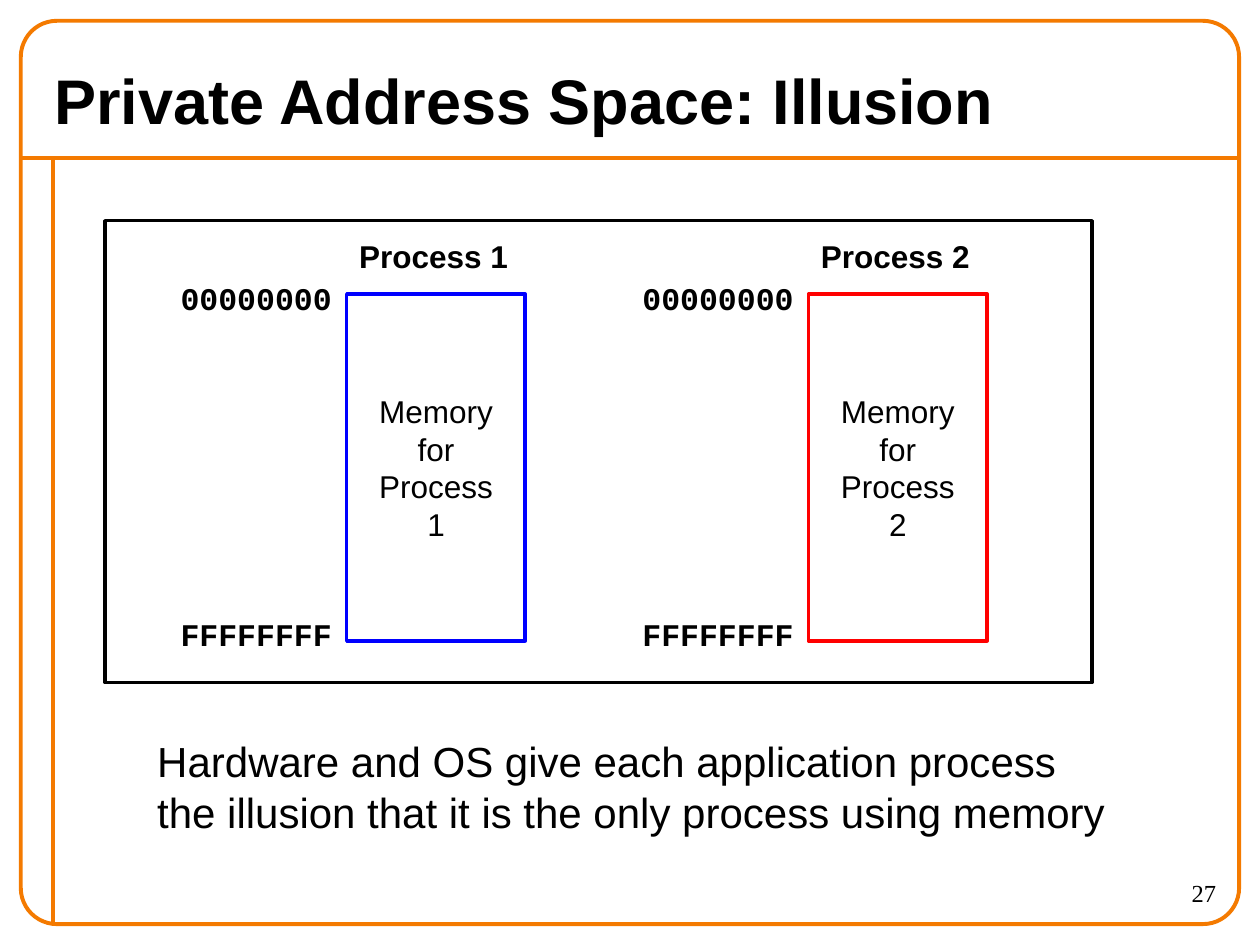
"""Build the slide on the illusion of a private address space."""
from dataclasses import dataclass

from lxml import etree
from pptx import Presentation
from pptx.dml.color import RGBColor
from pptx.enum.shapes import MSO_CONNECTOR, MSO_SHAPE
from pptx.enum.text import MSO_ANCHOR, MSO_AUTO_SIZE, PP_ALIGN
from pptx.oxml.ns import qn
from pptx.util import Cm, Pt

LEFT, CENTER, RIGHT = PP_ALIGN.LEFT, PP_ALIGN.CENTER, PP_ALIGN.RIGHT
MIDDLE = MSO_ANCHOR.MIDDLE
RECT, ROUND_RECT = MSO_SHAPE.RECTANGLE, MSO_SHAPE.ROUNDED_RECTANGLE
STRAIGHT = MSO_CONNECTOR.STRAIGHT
NO_FIT = MSO_AUTO_SIZE.NONE

ORANGE, BLACK, BLUE, RED = "F47A00", "000000", "0000FF", "FF0000"
FRAME_LEFT, FRAME_RIGHT, FRAME_BOTTOM = 0.42, 24.98, 18.63
RULE_X, RULE_Y = 1.06, 3.18
MEMORY_TOP, MEMORY_W, MEMORY_H = 5.93, 3.6, 6.99


@dataclass
class Box:
    x: float
    y: float
    w: float
    h: float

    def emu(self) -> tuple:
        return Cm(self.x), Cm(self.y), Cm(self.w), Cm(self.h)


@dataclass
class Style:
    size: float
    font: str = "Arial"
    bold: bool = False
    align: PP_ALIGN = LEFT


@dataclass
class Process:
    number: int
    x: float
    color: str


TITLE = Style(36, bold=True)
LABEL = Style(18, bold=True, align=CENTER)
ADDRESS = Style(18, "Courier New", bold=True)
MEMORY = Style(18, align=CENTER)
CAPTION = Style(24)
PAGE = Style(14, "Times New Roman", align=RIGHT)

PROCESSES = [Process(1, 6.99, BLUE), Process(2, 16.3, RED)]


def rgb(color: str) -> RGBColor:
    return RGBColor.from_string(color)


def write(sp, text: str, style: Style) -> None:
    tf = sp.text_frame
    tf.text = text
    for p in tf.paragraphs:
        p.alignment = style.align
        for r in p.runs:
            r.font.size = Pt(style.size)
            r.font.name = style.font
            r.font.bold = style.bold
            r.font.color.rgb = rgb(BLACK)


def add_text(slide, box: Box, text: str, style: Style) -> None:
    sp = slide.shapes.add_textbox(*box.emu())
    write(sp, text, style)
    sp.text_frame.word_wrap = False


def add_outline(slide, kind: MSO_SHAPE, box: Box, color: str, width: float):
    sp = slide.shapes.add_shape(kind, *box.emu())
    sp.shadow.inherit = False
    sp.fill.background()
    sp.line.color.rgb = rgb(color)
    sp.line.width = Pt(width)
    return sp


def add_rule(slide, x1: float, y1: float, x2: float, y2: float) -> None:
    line = slide.shapes.add_connector(STRAIGHT, Cm(x1), Cm(y1), Cm(x2), Cm(y2))
    line.line.color.rgb = rgb(ORANGE)
    line.line.width = Pt(2.25)
    etree.SubElement(line._element.spPr, qn("a:effectLst"))


def add_frame(slide) -> None:
    add_rule(slide, FRAME_LEFT, RULE_Y, FRAME_RIGHT, RULE_Y)
    add_rule(slide, RULE_X, RULE_Y, RULE_X, FRAME_BOTTOM)
    frame = Box(FRAME_LEFT, FRAME_LEFT, FRAME_RIGHT - FRAME_LEFT, FRAME_BOTTOM - FRAME_LEFT)
    sp = add_outline(slide, ROUND_RECT, frame, ORANGE, 2.25)
    sp.adjustments[0] = 0.04


def add_title(slide, text: str) -> None:
    sp = slide.shapes.title
    sp.left, sp.top, sp.width, sp.height = Box(0.84, 1.06, 23.71, 1.9).emu()
    write(sp, text, TITLE)
    sp.text_frame.vertical_anchor = MIDDLE
    sp.text_frame.auto_size = NO_FIT


def add_process(slide, process: Process) -> None:
    add_text(slide, Box(process.x, 4.66, 3.5, 1.02), f"Process {process.number}", LABEL)
    memory = Box(process.x, MEMORY_TOP, MEMORY_W, MEMORY_H)
    sp = add_outline(slide, RECT, memory, process.color, 2)
    write(sp, f"Memory\nfor\nProcess\n{process.number}", MEMORY)
    sp.text_frame.vertical_anchor = MIDDLE
    sp.text_frame.word_wrap = False
    for address, y in (("00000000", 5.5), ("FFFFFFFF", 12.28)):
        add_text(slide, Box(process.x - MEMORY_W, y, 3.56, 1.02), address, ADDRESS)


def main() -> None:
    prs = Presentation()
    prs.slide_width, prs.slide_height = Cm(25.4), Cm(19.05)
    slide = prs.slides.add_slide(prs.slide_layouts[5])
    add_frame(slide)
    add_text(slide, Box(22.23, 17.57, 2.54, 1.06), "27", PAGE)
    add_title(slide, "Private Address Space: Illusion")
    add_outline(slide, RECT, Box(2.12, 4.45, 19.9, 9.31), BLACK, 2)
    for process in PROCESSES:
        add_process(slide, process)
    caption = (
        "Hardware and OS give each application process\n"
        "the illusion that it is the only process using memory"
    )
    add_text(slide, Box(2.92, 14.71, 19.61, 2.29), caption, CAPTION)
    prs.save("out.pptx")


if __name__ == "__main__":
    main()
